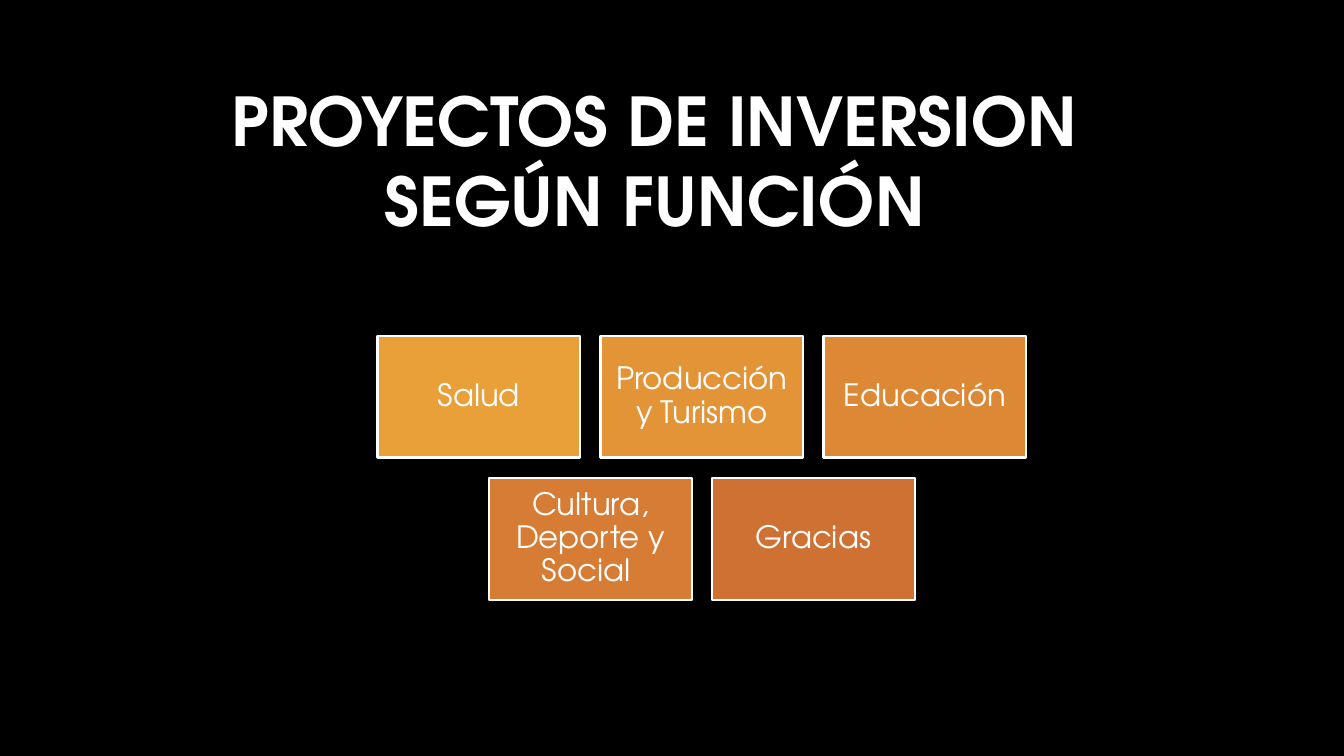
import pptx
import pptx.dml.color
import pptx.enum.shapes
import pptx.enum.text
import pptx.util
from pptx.dml.color import RGBColor
from pptx.util import Cm

BLACK = RGBColor(0x00, 0x00, 0x00)
WHITE = RGBColor(0xFF, 0xFF, 0xFF)
AMBER = RGBColor(0xE9, 0xA0, 0x39)
GOLD = RGBColor(0xE3, 0x94, 0x37)
ORANGE = RGBColor(0xDD, 0x88, 0x35)
COPPER = RGBColor(0xD6, 0x7C, 0x34)
RUST = RGBColor(0xCF, 0x71, 0x33)

# Rows of boxes, each row centred on the same axis
ROWS = [
    [("Salud", AMBER), ("Producción y Turismo", GOLD), ("Educación", ORANGE)],
    [("Cultura, Deporte y Social ", COPPER), ("Gracias", RUST)],
]
BOX_W, BOX_H, GAP = 5.11, 3.07, 0.51
GRID_CENTER, GRID_TOP = 17.69, 8.46


class Deck:
    """Holds the text style and the current slide."""

    font = "TeX Gyre Adventor"

    def __init__(self, slide):
        self.s = slide
        fill = slide.background.fill
        fill.solid()
        fill.fore_color.rgb = BLACK

    def text(self, tf, text, size, anchor, bold=False, spacing=1.0):
        tf.text = text
        tf.word_wrap = True
        tf.auto_size = pptx.enum.text.MSO_AUTO_SIZE.NONE
        tf.vertical_anchor = anchor
        p = tf.paragraphs[0]
        p.alignment = pptx.enum.text.PP_ALIGN.CENTER
        p.line_spacing = spacing
        p.font.name = self.font
        p.font.size = pptx.util.Pt(size)
        p.font.bold = bold
        p.font.color.rgb = WHITE

    def title(self, text, left, top, width, height):
        sp = self.s.shapes.title
        sp.left, sp.top = Cm(left), Cm(top)
        sp.width, sp.height = Cm(width), Cm(height)
        self.text(sp.text_frame, text, 48,
                  pptx.enum.text.MSO_ANCHOR.BOTTOM, bold=True)

    def box(self, text, color, left, top):
        sp = self.s.shapes.add_shape(
            pptx.enum.shapes.MSO_SHAPE.RECTANGLE,
            Cm(left), Cm(top), Cm(BOX_W), Cm(BOX_H))
        sp.shadow.inherit = False
        sp.fill.solid()
        sp.fill.fore_color.rgb = color
        sp.line.color.rgb = WHITE
        sp.line.width = pptx.util.Pt(1.5)
        tf = sp.text_frame
        tf.margin_left = tf.margin_right = Cm(0.23)
        tf.margin_top = tf.margin_bottom = Cm(0.23)
        self.text(tf, text, 22, pptx.enum.text.MSO_ANCHOR.MIDDLE, spacing=0.9)


def main():
    prs = pptx.Presentation()
    prs.slide_width, prs.slide_height = Cm(33.87), Cm(19.05)
    deck = Deck(prs.slides.add_slide(prs.slide_layouts[5]))

    # Heading
    deck.title("PROYECTOS DE INVERSION SEGÚN FUNCIÓN", 4.45, 1.73, 24.1, 4.45)

    # Project functions
    for i, row in enumerate(ROWS):
        row_width = len(row) * (BOX_W + GAP) - GAP
        left = GRID_CENTER - row_width / 2
        top = GRID_TOP + i * (BOX_H + GAP)
        for j, (label, color) in enumerate(row):
            deck.box(label, color, left + j * (BOX_W + GAP), top)

    prs.save("out.pptx")


if __name__ == "__main__":
    main()
